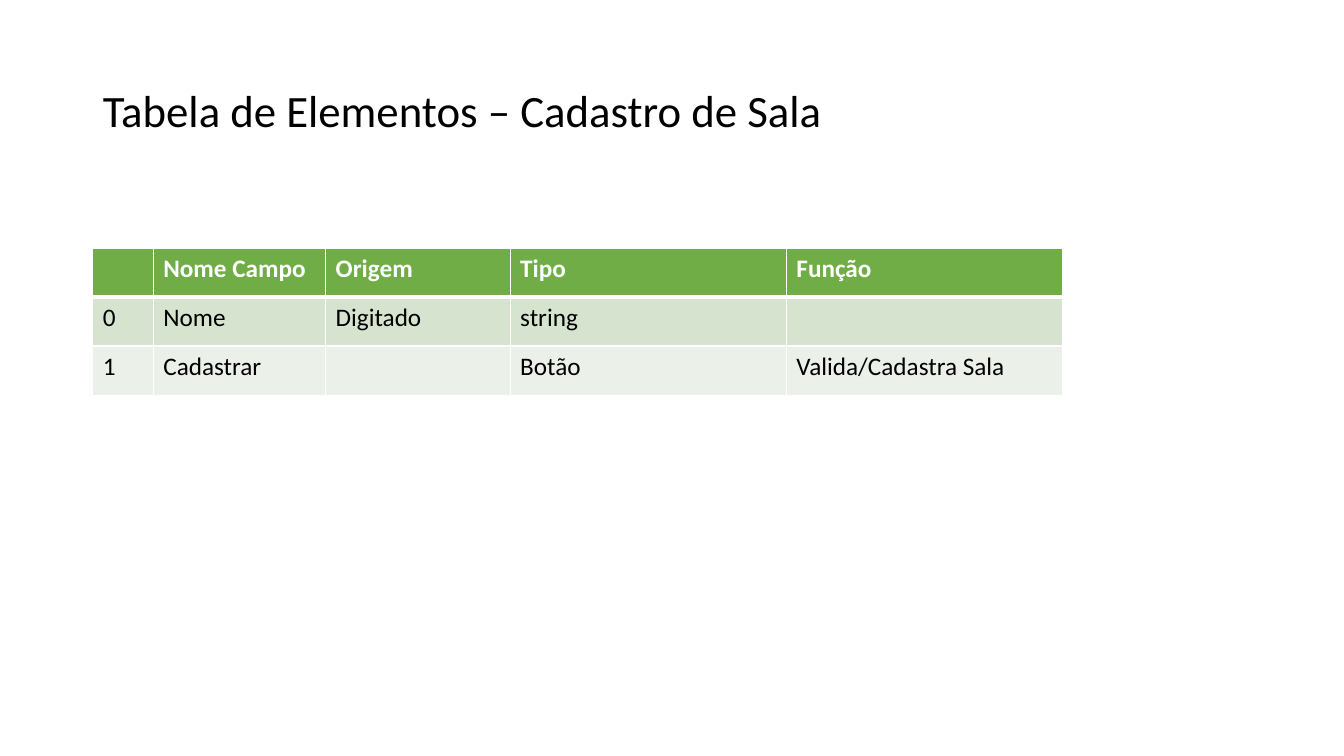
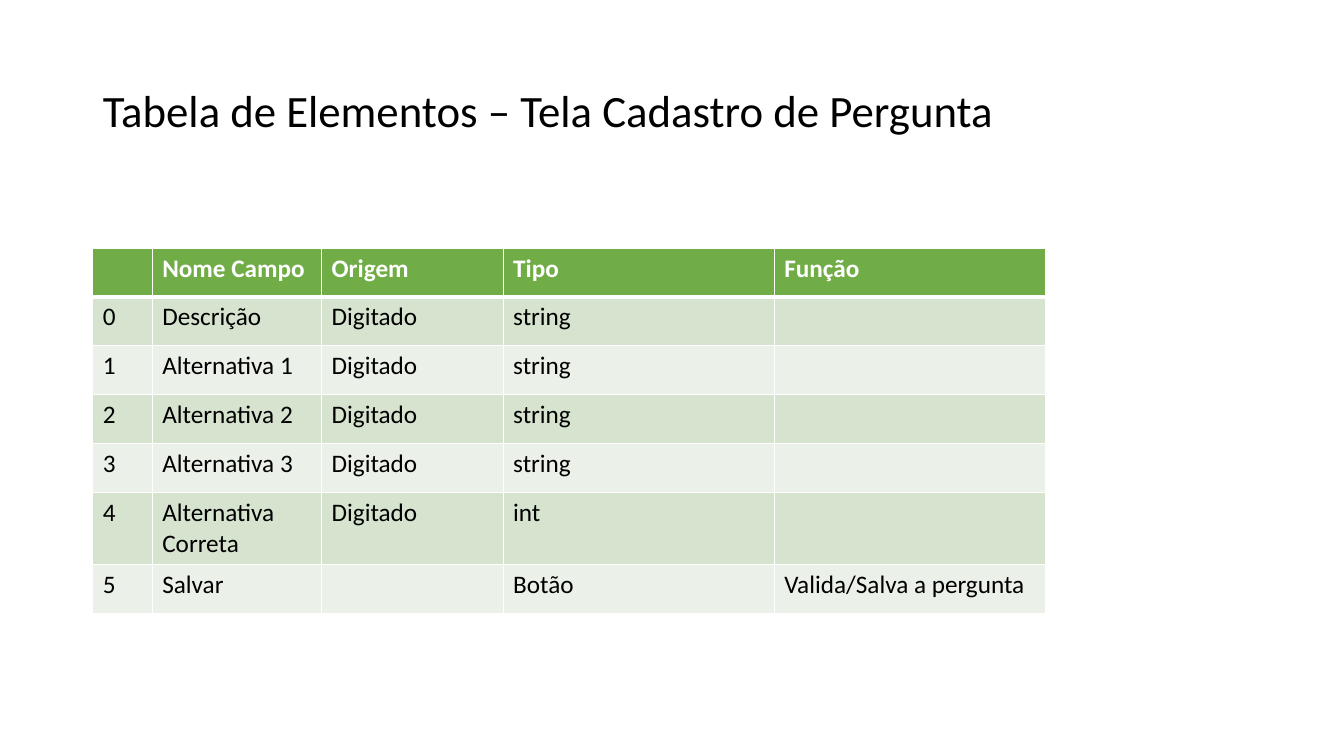
"""Build two slides that list the form elements of a room and a question screen."""
from dataclasses import dataclass

import lxml.etree
import pptx
import pptx.dml.color
import pptx.enum.text
import pptx.oxml.ns
import pptx.util

Inches = pptx.util.Inches

HEADERS = ("", "Nome Campo", "Origem", "Tipo", "Função")
SLIDES = [
    {
        "title": "Tabela de Elementos – Cadastro de Sala",
        "columns": (0.6, 1.71, 1.83, 2.74, 2.74),
        "height": 1.46,
        "rows": [
            ("Nome", "Digitado", "string", ""),
            ("Cadastrar", "", "Botão", "Valida/Cadastra Sala"),
        ],
    },
    {
        "title": "Tabela de Elementos – Tela Cadastro de Pergunta",
        "columns": (0.59, 1.68, 1.8, 2.69, 2.69),
        "height": 3.4,
        "rows": [
            ("Descrição", "Digitado", "string", ""),
            ("Alternativa 1", "Digitado", "string", ""),
            ("Alternativa 2", "Digitado", "string", ""),
            ("Alternativa 3", "Digitado", "string", ""),
            ("Alternativa Correta", "Digitado", "int", ""),
            ("Salvar", "", "Botão", "Valida/Salva a pergunta"),
        ],
    },
]


@dataclass(frozen=True)
class Theme:
    font: str = "Calibri"
    text: str = "000000"
    light: str = "FFFFFF"
    header: str = "70AD47"
    bands: tuple = ("D5E3CF", "EBF1E9")
    title_size: int = 32
    table_size: int = 18
    border: int = 1
    header_border: int = 3


THEME = Theme()


def write_text(frame, text, size=THEME.table_size, color=THEME.text, bold=False, line_spacing=1.0):
    paragraph = frame.paragraphs[0]
    paragraph.alignment = pptx.enum.text.PP_ALIGN.LEFT
    paragraph.line_spacing = line_spacing
    paragraph.font.size = pptx.util.Pt(size)
    if text:
        run = paragraph.add_run()
        run.text = text
        run.font.name = THEME.font
        run.font.size = pptx.util.Pt(size)
        run.font.bold = bold
        run.font.color.rgb = pptx.dml.color.RGBColor.from_string(color)


def set_borders(cell, top, bottom):
    qn = pptx.oxml.ns.qn
    properties = cell._tc.get_or_add_tcPr()
    widths = {"lnL": THEME.border, "lnR": THEME.border, "lnT": top, "lnB": bottom}
    for side, width in widths.items():
        line = lxml.etree.SubElement(properties, qn(f"a:{side}"), w=str(pptx.util.Pt(width)))
        fill = lxml.etree.SubElement(line, qn("a:solidFill"))
        lxml.etree.SubElement(fill, qn("a:srgbClr"), val=THEME.light)


def add_title(slide, text):
    title = slide.shapes.title
    title.left, title.top = Inches(0.92), Inches(0.4)
    title.width, title.height = Inches(11.5), Inches(1.45)
    title.text_frame.vertical_anchor = pptx.enum.text.MSO_ANCHOR.MIDDLE
    write_text(title.text_frame, text, size=THEME.title_size, line_spacing=0.9)


def add_element_table(slide, columns, height, rows):
    numbered = [(str(number), *row) for number, row in enumerate(rows)]
    grid = [HEADERS, *numbered]
    table = slide.shapes.add_table(
        len(grid), len(columns), Inches(0.92), Inches(2.46), Inches(sum(columns)), Inches(height)
    ).table
    for column, width in zip(table.columns, columns):
        column.width = Inches(width)
    for row_index, row in enumerate(grid):
        is_header = row_index == 0
        fill = THEME.header if is_header else THEME.bands[(row_index - 1) % 2]
        top = THEME.header_border if row_index == 1 else THEME.border
        bottom = THEME.header_border if is_header else THEME.border
        for column_index, text in enumerate(row):
            cell = table.cell(row_index, column_index)
            set_borders(cell, top, bottom)
            cell.fill.solid()
            cell.fill.fore_color.rgb = pptx.dml.color.RGBColor.from_string(fill)
            write_text(
                cell.text_frame, text, color=THEME.light if is_header else THEME.text, bold=is_header
            )


def main():
    presentation = pptx.Presentation()
    presentation.slide_width, presentation.slide_height = Inches(13.33), Inches(7.5)
    title_only = presentation.slide_layouts[5]
    for content in SLIDES:
        slide = presentation.slides.add_slide(title_only)
        add_title(slide, content["title"])
        add_element_table(slide, content["columns"], content["height"], content["rows"])
    presentation.save("out.pptx")


if __name__ == "__main__":
    main()
